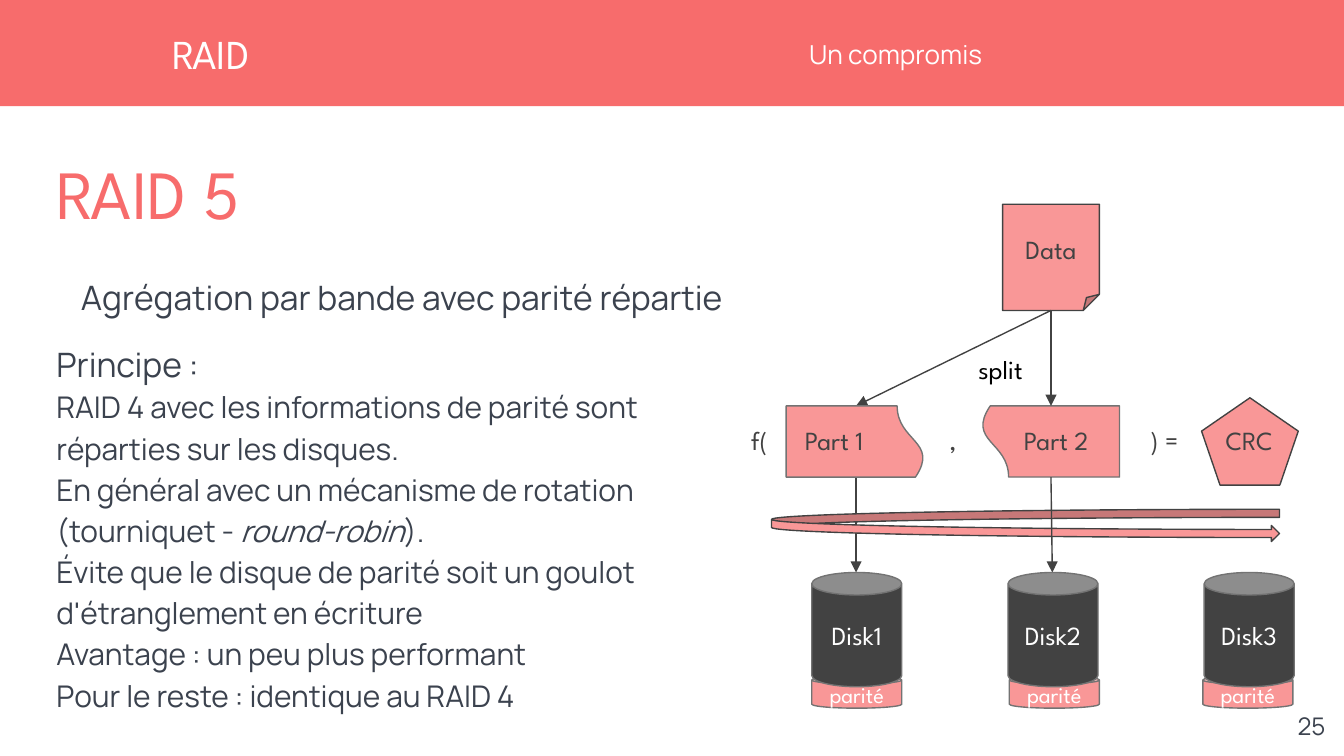
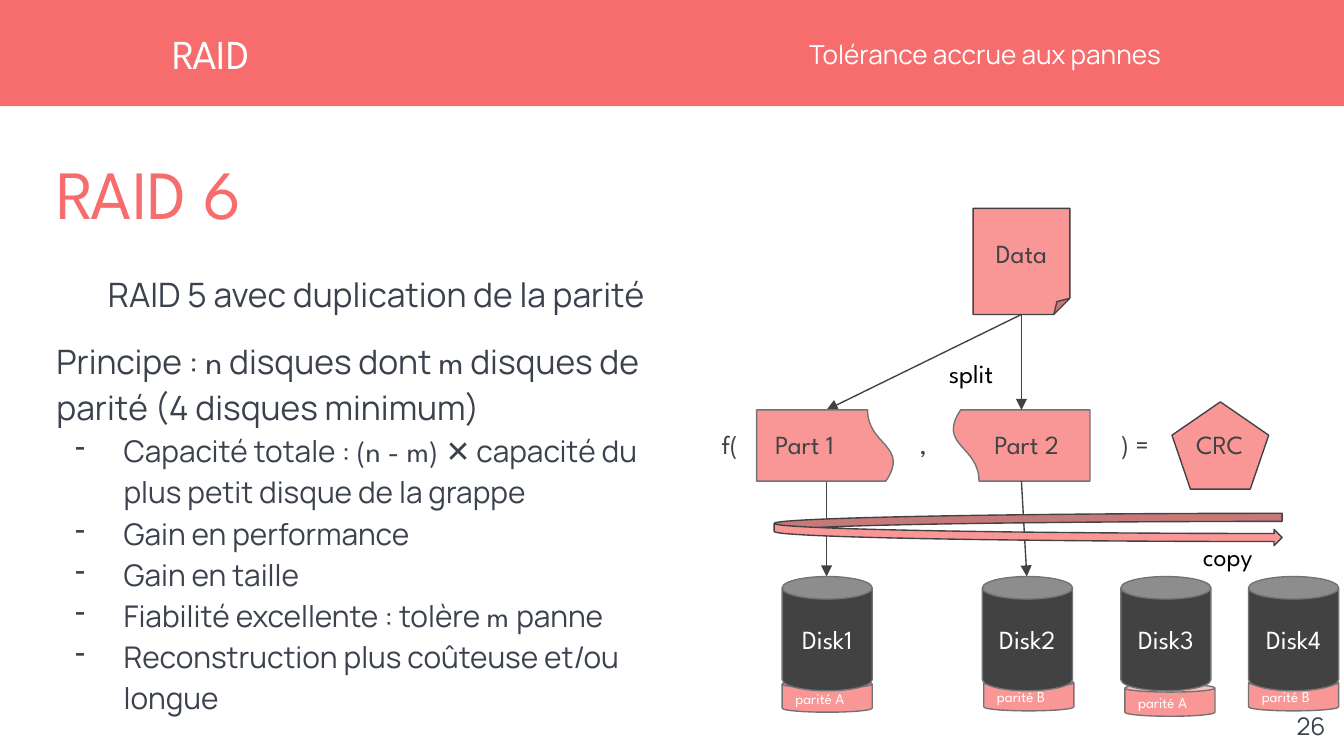
import lxml.etree
import pptx
import pptx.dml.color
import pptx.enum.shapes
import pptx.enum.text
import pptx.oxml.ns
import pptx.util

RGBColor = pptx.dml.color.RGBColor
SHAPE = pptx.enum.shapes.MSO_SHAPE
ANCHOR = pptx.enum.text.MSO_ANCHOR
ALIGN = pptx.enum.text.PP_ALIGN
qn = pptx.oxml.ns.qn

CORAL = RGBColor(0xF7, 0x6C, 0x6C)
PINK = RGBColor(0xF9, 0x97, 0x97)
CHARCOAL = RGBColor(0x42, 0x42, 0x42)
GRAY = RGBColor(0x73, 0x73, 0x73)
SLATE = RGBColor(0x3B, 0x42, 0x4E)
WHITE = RGBColor(0xFF, 0xFF, 0xFF)
BLACK = RGBColor(0, 0, 0)

HEADING_FONT = "League Spartan"
BODY_FONT = "Manrope"
SCALE = 9144  # EMU per px, 100 px to the inch
WIDTH = 1000
INSET = 10
CAN_WIDTH = 67


def px(length):
    return pptx.util.Emu(length * SCALE)


class Deck:
    """Holds the style and the current slide."""

    def __init__(self):
        self.presentation = pptx.Presentation()
        self.presentation.slide_width = px(WIDTH)
        self.presentation.slide_height = px(WIDTH) * 9 // 16
        self.slide = None

    def add_run(self, paragraph, text, size, color, font=HEADING_FONT, italic=False):
        run = paragraph.add_run()
        run.text = text
        run.font.size = pptx.util.Pt(size)
        run.font.name = font
        run.font.color.rgb = color
        if italic:
            run.font.italic = True

    def prepare_frame(self, shape, inset, anchor):
        frame = shape.text_frame
        frame.word_wrap = True
        frame.vertical_anchor = anchor
        frame.margin_left = frame.margin_right = px(inset)
        frame.margin_top = frame.margin_bottom = px(inset)
        return frame

    def text(self, box, text, size, color, font=HEADING_FONT, align=ALIGN.LEFT,
             inset=0, anchor=ANCHOR.TOP):
        shape = self.slide.shapes.add_textbox(*map(px, box))
        paragraph = self.prepare_frame(shape, inset, anchor).paragraphs[0]
        paragraph.alignment = align
        self.add_run(paragraph, text, size, color, font)

    def label(self, box, text, color=CHARCOAL, align=ALIGN.CENTER):
        self.text(box, text, 14, color, align=align, inset=INSET)

    def shape(self, kind, box, fill, line=None, text="", size=14, color=WHITE,
              align=ALIGN.CENTER, rotation=0):
        shape = self.slide.shapes.add_shape(kind, *map(px, box))
        shape.shadow.inherit = False
        shape.rotation = rotation
        shape.fill.solid()
        shape.fill.fore_color.rgb = fill
        if line is None:
            shape.line.fill.background()
        else:
            shape.line.color.rgb = line
            shape.line.width = pptx.util.Pt(0.75)
        if text:
            paragraph = self.prepare_frame(shape, INSET, ANCHOR.MIDDLE).paragraphs[0]
            paragraph.alignment = align
            self.add_run(paragraph, text, size, color)
        return shape

    def arrow(self, start, end, source=None):
        connector = self.slide.shapes.add_connector(
            pptx.enum.shapes.MSO_CONNECTOR.STRAIGHT, *map(px, start + end))
        connector.line.color.rgb = CHARCOAL
        connector.line.width = pptx.util.Pt(0.75)
        properties = connector.element.spPr
        head = lxml.etree.SubElement(properties.find(qn("a:ln")), qn("a:tailEnd"))
        head.set("type", "triangle")
        lxml.etree.SubElement(properties, qn("a:effectLst"))
        if source is not None:
            connector.begin_connect(source, 2)

    def dash_bullet(self, paragraph):
        properties = paragraph._p.get_or_add_pPr()
        properties.set("marL", str(px(50)))
        properties.set("indent", str(px(-36)))
        color = lxml.etree.SubElement(properties, qn("a:buClr"))
        lxml.etree.SubElement(color, qn("a:srgbClr")).set("val", str(SLATE))
        lxml.etree.SubElement(properties, qn("a:buChar")).set("char", "-")

    def body(self, width, intro, principle, details, bullets=False):
        box = self.slide.shapes.add_textbox(px(42), px(188), px(width), px(356))
        frame = self.prepare_frame(box, 0, ANCHOR.MIDDLE)
        for index, runs in enumerate([intro, principle] + details):
            paragraph = frame.add_paragraph() if index else frame.paragraphs[0]
            paragraph.alignment = ALIGN.LEFT if index else ALIGN.CENTER
            paragraph.line_spacing = 1.15
            if index == 1:
                paragraph.space_before = pptx.util.Pt(11)
            if index > 1 and bullets:
                self.dash_bullet(paragraph)
            for text, style in runs:
                self.add_run(paragraph, text, 16 if index > 1 else 18, SLATE,
                             HEADING_FONT if style == "symbol" else BODY_FONT,
                             style == "italic")

    def new_slide(self, subtitle, heading, number):
        self.slide = self.presentation.slides.add_slide(self.presentation.slide_layouts[6])
        self.shape(SHAPE.RECTANGLE, (-2, 0, 1004, 79), CORAL)
        self.text((602, 21, 384, 39), subtitle, 14, WHITE, BODY_FONT, anchor=ANCHOR.MIDDLE)
        self.text((128, 0, 469, 79), "RAID", 22, WHITE, anchor=ANCHOR.MIDDLE)
        self.text((42, 112, 926, 58), heading, 37, CORAL)
        self.text((936, 519, 60, 43), number, 13, SLATE, BODY_FONT, ALIGN.RIGHT, INSET)

    def rotation_arrow(self, left, top):
        self.shape(SHAPE.CURVED_RIGHT_ARROW, (left, top, 378, 24), PINK, CHARCOAL)

    def parity(self, left, top, text, size, align=ALIGN.CENTER):
        self.shape(SHAPE.CAN, (left, top, CAN_WIDTH, 24), PINK, GRAY, text, size, align=align)

    def disks(self, lefts, top):
        for number, left in enumerate(lefts, 1):
            self.shape(SHAPE.CAN, (left, top, CAN_WIDTH, 85), CHARCOAL, GRAY, f"Disk{number}")

    def data_split(self, left, top, disk_center):
        """Data cut in two parts plus a checksum; left and top are those of the data sheet."""
        center = left + 36
        parts_top, parts_bottom = top + 150, top + 203
        label_top = top + 154
        data = self.shape(SHAPE.FOLDED_CORNER, (left, top, 72, 79), PINK, CHARCOAL,
                          "Data", color=CHARCOAL)
        self.arrow((center, top + 79), (center - 145, parts_top), data)
        for part_left, rotation, label_left, text in (
                (left - 136, 270, left - 157, "Part 1"), (left + 9, 90, left + 6, "Part 2")):
            self.shape(SHAPE.FLOWCHART_DOCUMENT, (part_left, top + 125, 53, 103), PINK, GRAY,
                       rotation=rotation)
            self.label((label_left, label_top, 77, 44), text, align=ALIGN.LEFT)
        self.arrow((center, top + 79), (center, parts_top), data)
        self.arrow((center, parts_bottom), (disk_center, top + 274))
        self.label((left - 35, top + 101, 67, 44), "split", BLACK)
        self.shape(SHAPE.REGULAR_PENTAGON, (left + 148, top + 144, 72, 65), PINK, CHARCOAL)
        for offset, width, text in ((145, 77, "CRC"), (-201, 40, "f("), (-57, 40, ","),
                                    (96, 49, ") =")):
            self.label((left + offset, label_top, width, 44), text)


def plain(text):
    return [(text, "")]


def build_raid5(deck):
    deck.new_slide("Un compromis", "RAID 5", "25")
    deck.body(514, plain("Agrégation par bande avec parité répartie"), plain("Principe :"), [
        plain("RAID 4 avec les informations de parité sont réparties sur les disques."),
        [("En général avec un mécanisme de rotation (tourniquet - ", ""),
         ("round-robin", "italic"), (").", "")],
        plain("Évite que le disque de parité soit un goulot d'étranglement en écriture"),
        plain("Avantage : un peu plus performant"),
        plain("Pour le reste : identique au RAID 4"),
    ])
    # Diagram
    deck.arrow((637, 355), (637, 426))
    deck.rotation_arrow(574, 379)
    for left in (604, 751, 895):
        deck.parity(left, 503, "parité", 12)
    deck.data_split(746, 152, 783)
    deck.disks((604, 750, 896), 426)


def build_raid6(deck):
    deck.new_slide("Tolérance accrue aux pannes", "RAID 6", "26")
    principle = [("Principe : ", ""), ("n", "symbol"), (" disques dont ", ""),
                 ("m", "symbol"), (" disques de parité (4 disques minimum)", "")]
    deck.body(476, plain("RAID 5 avec duplication de la parité"), principle, [
        [("Capacité totale : ", ""), ("(n - m) ✕", "symbol"),
         (" capacité du plus petit disque de la grappe", "")],
        plain("Gain en performance"),
        plain("Gain en taille"),
        [("Fiabilité excellente : tolère ", ""), ("m ", "symbol"), ("panne", "")],
        plain("Reconstruction plus coûteuse et/ou longue"),
    ], bullets=True)
    # Diagram
    deck.arrow((615, 358), (615, 429))
    deck.data_split(724, 155, 764)
    for left, top, copy_name in ((582, 506, "A"), (732, 505, "B"),
                                 (837, 509, "A"), (929, 505, "B")):
        deck.parity(left, top, f"parité {copy_name}", 8, ALIGN.LEFT)
    deck.rotation_arrow(576, 382)
    deck.disks((582, 731, 834, 929), 429)
    deck.label((880, 392, 67, 44), "copy", BLACK)


def main():
    deck = Deck()
    build_raid5(deck)
    build_raid6(deck)
    deck.presentation.save("out.pptx")


if __name__ == "__main__":
    main()
